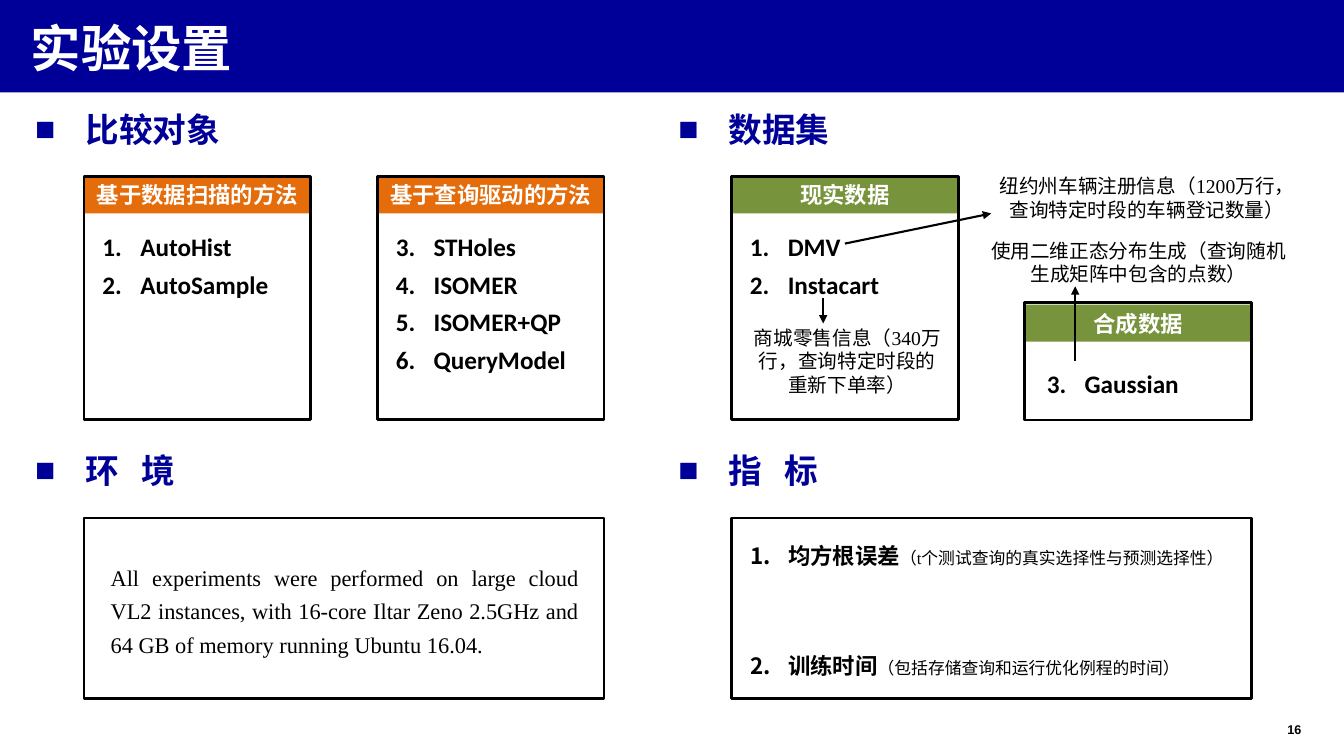
from lxml import etree
from pptx import Presentation
from pptx.dml.color import RGBColor as RGB
from pptx.enum.shapes import MSO_CONNECTOR as CONN, MSO_SHAPE as SHAPE
from pptx.enum.text import MSO_ANCHOR as ANCHOR, MSO_AUTO_SIZE as AUTO, PP_ALIGN as ALIGN
from pptx.oxml.ns import qn
from pptx.util import Pt

THEME = {
    "navy": RGB(0x00, 0x00, 0x99), "orange": RGB(0xE4, 0x6C, 0x0A),
    "green": RGB(0x77, 0x93, 0x3C), "black": RGB(0, 0, 0), "white": RGB(255, 255, 255),
    "cjk": "Noto Sans CJK SC", "sans": "Arial", "list": "Calibri", "serif": "Times New Roman",
    "title": 36, "heading": 24, "item": 18, "label": 16, "note": 14, "detail": 12, "number": 9,
}

prs = Presentation()
prs.slide_width, prs.slide_height = Pt(960), Pt(540)
s = prs.slides.add_slide(prs.slide_layouts.get_by_name("Comparison"))
title, *bodies = s.placeholders


def write(sp, paras, font, size, color="black", bold=False, align=ALIGN.LEFT,
          line=None, bullet=None, start=1, indent=0, spacing=0, anchor=ANCHOR.TOP):
    """Fill a shape; each paragraph is a list of (text, format overrides)."""
    tf = sp.text_frame
    for name, value in {"word_wrap": True, "auto_size": AUTO.NONE,
                        "vertical_anchor": anchor}.items():
        setattr(tf, name, value)
    for i, runs in enumerate(paras):
        p = tf.paragraphs[0] if i == 0 else tf.add_paragraph()
        pPr = p._p.get_or_add_pPr()
        pPr.set("marL", str(Pt(indent)))
        pPr.set("indent", str(-Pt(indent) if bullet else 0))
        if bullet:
            face = THEME["list"] if bullet == "1." else THEME["sans"]
            etree.SubElement(pPr, qn("a:buFont")).set("typeface", face)
        if bullet == "1.":
            num = etree.SubElement(pPr, qn("a:buAutoNum"))
            num.set("type", "arabicPeriod")
            num.set("startAt", str(start))
        elif bullet:
            etree.SubElement(pPr, qn("a:buChar")).set("char", bullet)
        else:
            etree.SubElement(pPr, qn("a:buNone"))
        p.alignment, p.space_before = align, Pt(0)
        if line:
            p.line_spacing = Pt(line)
        for text, changes in runs:
            r = p.add_run()
            r.text = text
            look = {"name": THEME[font], "size": Pt(size), "bold": bold, **changes}
            for name, value in look.items():
                setattr(r.font, name, value)
            r.font.color.rgb = THEME[color]
            rPr = r._r.get_or_add_rPr()
            etree.SubElement(rPr, qn("a:ea")).set("typeface", THEME["cjk"])
            if spacing:
                rPr.set("spc", str(spacing * 100))


def add_rect(x, y, w, h, fill=None):
    """Filled bar, or a black frame when no fill is given."""
    sp = s.shapes.add_shape(SHAPE.RECTANGLE, Pt(x), Pt(y), Pt(w), Pt(h))
    sp.shadow.inherit = False
    if fill:
        sp.fill.solid()
        sp.fill.fore_color.rgb = THEME[fill]
        sp.line.fill.background()
    else:
        sp.fill.background()
        sp.line.color.rgb = THEME["black"]
        sp.line.width = Pt(2)
    return sp


# Title band, behind the title
band = add_rect(0, 0, 960, 66, "navy")
s.shapes._spTree.insert(2, band._element)
title.left, title.top, title.width, title.height = Pt(18), Pt(11.5), Pt(414), Pt(44)
tf = title.text_frame
tf.margin_left = tf.margin_right = tf.margin_top = tf.margin_bottom = 0
write(title, [[("实验设置", {})]], "sans", THEME["title"], "white", True,
      indent=4, anchor=ANCHOR.MIDDLE)

# Column grid
LEFT, RIGHT, STEP = 60, 522.5, 209.5
CARD_W, PANEL_W, BOTTOM = 162, 371.5, 300

# Section headings
for x, y, text, spacing in [(18, 74, "比较对象", 0), (477.5, 74, "数据集", 0),
                            (18, 317.5, "环境", 16), (477.5, 317.5, "指标", 16)]:
    sp = s.shapes.add_textbox(Pt(x), Pt(y), Pt(162), Pt(36))
    write(sp, [[(text, {})]], "cjk", THEME["heading"], "navy", True,
          bullet="■", indent=36, spacing=spacing)

# Cards: coloured header, frame and numbered list
cards = [
    (LEFT, 126, 126, "orange", "基于数据扫描的方法", 6, 156, 1, ["AutoHist", "AutoSample"]),
    (LEFT + STEP, 126, 126, "orange", "基于查询驱动的方法", 6, 156, 3,
     ["STHoles", "ISOMER", "ISOMER+QP", "QueryModel"]),
    (RIGHT, 126, 126, "green", "现实数据", 6, 156, 1, ["DMV", "Instacart"]),
    (RIGHT + STEP, 216, 217.5, "green", "合成数据", 8.5, 254, 3, ["Gaussian"]),
]
for body, (x, top, head_y, fill, name, dx, list_y, start, items) in zip(bodies, cards):
    header = add_rect(x, head_y, CARD_W, 26.5, fill)
    write(header, [[(name, {})]], "cjk", THEME["label"], "white", True,
          ALIGN.CENTER, anchor=ANCHOR.MIDDLE)
    add_rect(x, top, CARD_W, BOTTOM - top)
    body.left, body.top = Pt(x + dx), Pt(list_y)
    body.width, body.height = Pt(138), Pt(27 * len(items) + 6)
    write(body, [[(item, {})] for item in items], "list", THEME["item"], bold=True,
          line=27, bullet="1.", start=start, indent=27)

# Notes on the data sets
for x, y, w, h, text in [
    (528.5, 229, 153.5, 58, "商城零售信息（340万行，查询特定时段的重新下单率）"),
    (702.5, 121, 233.5, 41, "纽约州车辆注册信息（1200万行，查询特定时段的车辆登记数量）"),
    (696.5, 167, 233.5, 41, "使用二维正态分布生成（查询随机生成矩阵中包含的点数）"),
]:
    sp = s.shapes.add_textbox(Pt(x), Pt(y), Pt(w), Pt(h))
    write(sp, [[(text, {})]], "serif", THEME["note"], align=ALIGN.CENTER)

# Arrows from data sets to their notes
for x1, y1, x2, y2 in [(603.5, 174, 708, 152.5), (588, 213, 588, 231), (768, 258, 768, 204.5)]:
    arrow = s.shapes.add_connector(CONN.STRAIGHT, Pt(x1), Pt(y1), Pt(x2), Pt(y2))
    arrow.line.color.rgb = THEME["black"]
    arrow.line.width = Pt(1.5)
    etree.SubElement(arrow.line._get_or_add_ln(), qn("a:tailEnd")).set("type", "triangle")
    etree.SubElement(arrow._element.spPr, qn("a:effectLst"))

# Environment and metrics panels
for x in (LEFT, RIGHT):
    add_rect(x, 370, PANEL_W, 129)
sp = s.shapes.add_textbox(Pt(72), Pt(394.5), Pt(348.5), Pt(78))
write(sp, [[("All experiments were performed on large cloud VL2 instances, with 16-core "
             "Iltar Zeno 2.5GHz and 64 GB of memory running Ubuntu 16.04.", {})]],
      "serif", THEME["label"], align=ALIGN.JUSTIFY, line=24)

detail = {"size": Pt(THEME["detail"]), "bold": False}
metrics = [("均方根误差", "（t个测试查询的真实选择性与预测选择性）"),
           ("训练时间", "（包括存储查询和运行优化例程的时间）")]
for i, (name, note) in enumerate(metrics):
    sp = s.shapes.add_textbox(Pt(529), Pt(376 + 78.5 * i), Pt(359.5), Pt(30.5))
    write(sp, [[(name, {}), (note, detail)]], "serif", THEME["label"], bold=True,
          line=27, bullet="1.", start=i + 1, indent=27)

# Slide number
sp = s.shapes.add_textbox(Pt(917.5), Pt(516), Pt(18.5), Pt(11))
tf = sp.text_frame
tf.margin_left = tf.margin_right = tf.margin_top = tf.margin_bottom = 0
write(sp, [[("16", {})]], "sans", THEME["number"], bold=True, indent=2)

prs.save("out.pptx")
